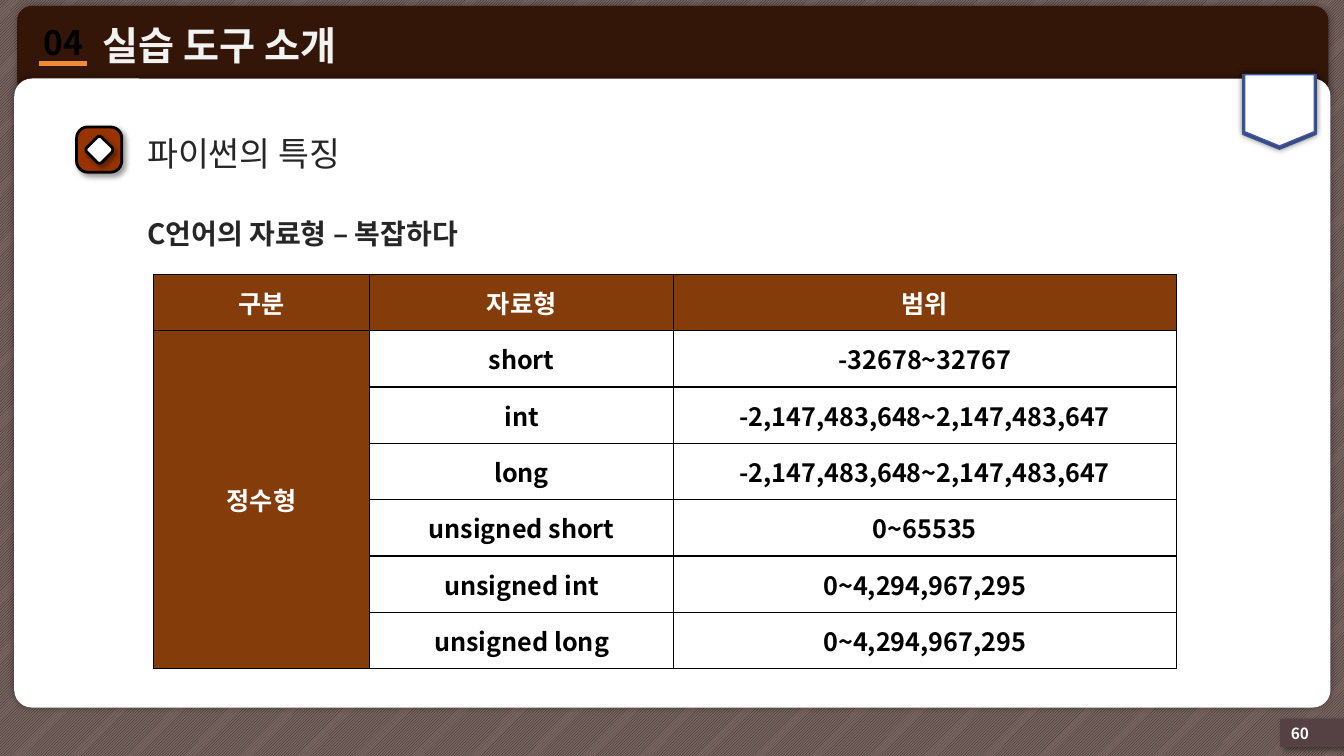
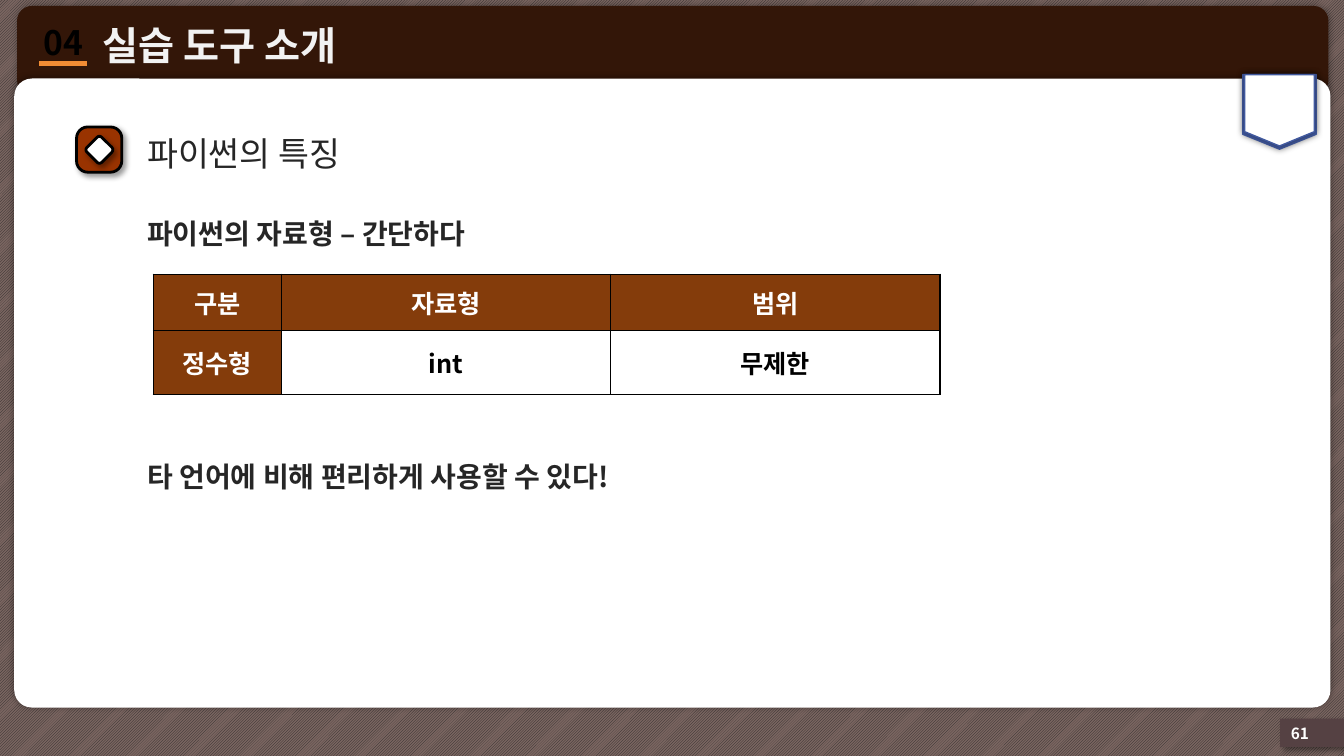
"""Build two lecture slides comparing C and Python integer types."""
from lxml import etree
from pptx import Presentation
from pptx.dml.color import RGBColor
from pptx.enum import dml, shapes, text
from pptx.oxml import ns
from pptx.util import Cm, Pt

FONT = "Noto Sans CJK KR"
COLORS = {
    "stripe": "262626", "backdrop": "7A6560", "header": "331608",
    "white": "FFFFFF", "black": "000000", "tab": "554143",
    "accent": "F28C34", "title": "F2F2F2", "ribbon": "41599E",
    "ink": "262626", "badge": "993300", "table": "843C0B",
}
CHAPTER, TITLE, HEADING = "04", "실습 도구 소개", "파이썬의 특징"
TABLE_HEAD = ("구분", "자료형", "범위")
SLIDES = [
    {
        "page": 60,
        "topic": "C언어의 자료형 – 복잡하다",
        "group": "정수형",
        "types": [
            ("short", "-32678~32767"),
            ("int", "-2,147,483,648~2,147,483,647"),
            ("long", "-2,147,483,648~2,147,483,647"),
            ("unsigned short", "0~65535"),
            ("unsigned int", "0~4,294,967,295"),
            ("unsigned long", "0~4,294,967,295"),
        ],
        "cols": (5.46, 7.65, 12.67),
        "row_height": 1.42,
    },
    {
        "page": 61,
        "topic": "파이썬의 자료형 – 간단하다",
        "group": "정수형",
        "types": [("int", "무제한")],
        "cols": (3.23, 8.3, 8.3),
        "row_height": 1.62,
        "note": "타 언어에 비해 편리하게 사용할 수 있다!",
    },
]
HEAD_HEIGHT = 1.42
TEXT_LEFT, TABLE_LEFT, TABLE_TOP = 3.53, 3.86, 6.91
GLOW = (5, 0, 0)
DROP = (4, 3, 45)
SHAPE = shapes.MSO_SHAPE


def rgb(name):
    return RGBColor.from_string(COLORS[name])


def sub(parent, tag, **attrs):
    return etree.SubElement(parent, ns.qn(tag), {k: str(v) for k, v in attrs.items()})


def add_shadow(sp, blur, dist, angle):
    effects = sp._element.spPr.find(ns.qn("a:effectLst"))
    shadow = sub(effects, "a:outerShdw", blurRad=Pt(blur), dist=Pt(dist),
                 dir=angle * 60000, algn="ctr", rotWithShape=0)
    color = sub(shadow, "a:srgbClr", val=COLORS["black"])
    sub(color, "a:alpha", val=40000)


def add_shape(s, kind, box, fill, line=None, width=1, radius=None, shadow=None):
    sp = s.shapes.add_shape(kind, *map(Cm, box))
    sp.shadow.inherit = False
    sp.fill.solid()
    sp.fill.fore_color.rgb = rgb(fill)
    if line:
        sp.line.color.rgb = rgb(line)
        sp.line.width = Pt(width)
    else:
        sp.line.fill.background()
    if radius is not None:
        sp.adjustments[0] = radius
    if shadow:
        add_shadow(sp, *shadow)
    return sp


def style_text(p, size, color, bold):
    for r in p.runs:
        r.font.size = Pt(size)
        r.font.bold = bold
        r.font.color.rgb = rgb(color)
        r.font.name = FONT
        sub(r._r.get_or_add_rPr(), "a:ea", typeface=FONT)


def add_text(s, box, content, size, color, bold=True, inset=0.18):
    sp = s.shapes.add_textbox(*map(Cm, box))
    tf = sp.text_frame
    tf.word_wrap = True
    tf.vertical_anchor = text.MSO_ANCHOR.MIDDLE
    tf.margin_left = tf.margin_right = Cm(inset)
    tf.margin_top = tf.margin_bottom = Cm(0.18)
    tf.text = content
    style_text(tf.paragraphs[0], size, color, bold)
    return tf


def add_frame(s, page):
    backdrop = add_shape(s, SHAPE.RECTANGLE, (-0.05, -0.23, 33.99, 19.48), "backdrop")
    backdrop.fill.patterned()
    backdrop.fill.pattern = dml.MSO_PATTERN.LIGHT_UPWARD_DIAGONAL
    backdrop.fill.fore_color.rgb = rgb("stripe")
    backdrop.fill.back_color.rgb = rgb("backdrop")
    for box, fill, radius, shadow in (
        ((0.43, 0.15, 33.05, 2.24), "header", 0.168, GLOW),
        ((0.36, 1.98, 33.17, 15.85), "white", 0.028, GLOW),
        ((32.26, 18.11, 1.68, 0.71), "tab", 0, DROP),
    ):
        add_shape(s, SHAPE.ROUNDED_RECTANGLE, box, fill, radius=radius, shadow=shadow)

    underline = s.shapes.add_connector(
        shapes.MSO_CONNECTOR.STRAIGHT, Cm(0.99), Cm(1.6), Cm(2.18), Cm(1.6))
    underline.line.color.rgb = rgb("accent")
    underline.line.width = Pt(3)
    sub(underline._element.spPr, "a:effectLst")

    tf = add_text(s, (0.74, 0.43, 1.7, 1.27), CHAPTER, 24, "black")
    tf.word_wrap = False
    tf.paragraphs[0].alignment = text.PP_ALIGN.CENTER
    add_text(s, (2.41, 0.36, 21.84, 1.52), TITLE, 28, "title")
    for box, fill in (((31.32, 1.88, 1.85, 1.88), "ribbon"),
                      ((31.37, 1.88, 1.75, 1.8), "white")):
        add_shape(s, SHAPE.FLOWCHART_OFFPAGE_CONNECTOR, box, fill, "ribbon", shadow=GLOW)
    add_text(s, (32.28, 17.96, 1.93, 1.02), str(page), 11, "white", inset=0.25)


def add_heading(s):
    add_text(s, (TEXT_LEFT, 3.18, 20.65, 1.37), HEADING, 24, "ink", bold=False)
    for box, fill, radius, angle in (
        ((1.93, 3.2, 1.14, 1.14), "badge", 0.249, 0),
        ((2.24, 3.51, 0.53, 0.53), "white", 0.153, 45),
    ):
        sp = add_shape(s, SHAPE.ROUNDED_RECTANGLE, box, fill, "black", 2, radius, DROP)
        sp.rotation = angle


def style_cell(cell, fill, color):
    tcPr = cell._tc.get_or_add_tcPr()
    for side in ("a:lnL", "a:lnR", "a:lnT", "a:lnB"):
        line = sub(tcPr, side, w=Pt(1))
        sub(sub(line, "a:solidFill"), "a:srgbClr", val=COLORS["black"])
    cell.fill.solid()
    cell.fill.fore_color.rgb = rgb(fill)
    cell.vertical_anchor = text.MSO_ANCHOR.MIDDLE
    cell.margin_left = cell.margin_right = Cm(0.15)
    cell.margin_top = cell.margin_bottom = Cm(0.08)
    p = cell.text_frame.paragraphs[0]
    p.alignment = text.PP_ALIGN.CENTER
    style_text(p, 18, color, True)


def add_type_table(s, group, types, cols, row_height):
    rows = [TABLE_HEAD] + [("" if i else group, *t) for i, t in enumerate(types)]
    heights = [HEAD_HEIGHT] + [row_height] * len(types)
    frame = s.shapes.add_table(
        len(rows), len(cols), Cm(TABLE_LEFT), Cm(TABLE_TOP),
        Cm(sum(cols)), Cm(sum(heights)))
    table = frame.table
    for column, width in zip(table.columns, cols):
        column.width = Cm(width)
    for i, (row, height) in enumerate(zip(rows, heights)):
        table.rows[i].height = Cm(height)
        for j, value in enumerate(row):
            cell = table.cell(i, j)
            cell.text_frame.text = value
            label = i == 0 or j == 0
            style_cell(cell, "table" if label else "white", "white" if label else "black")
    if len(types) > 1:
        table.cell(1, 0).merge(table.cell(len(types), 0))


def main():
    prs = Presentation()
    prs.slide_width, prs.slide_height = Cm(33.87), Cm(19.05)
    for content in SLIDES:
        s = prs.slides.add_slide(prs.slide_layouts[6])
        add_frame(s, content["page"])
        add_heading(s)
        add_text(s, (TEXT_LEFT, 5.28, 22.48, 1.19), content["topic"], 20, "ink")
        add_type_table(s, content["group"], content["types"],
                       content["cols"], content["row_height"])
        if "note" in content:
            add_text(s, (TEXT_LEFT, 11.4, 15.75, 1.19), content["note"], 20, "ink")
    prs.save("out.pptx")


if __name__ == "__main__":
    main()
